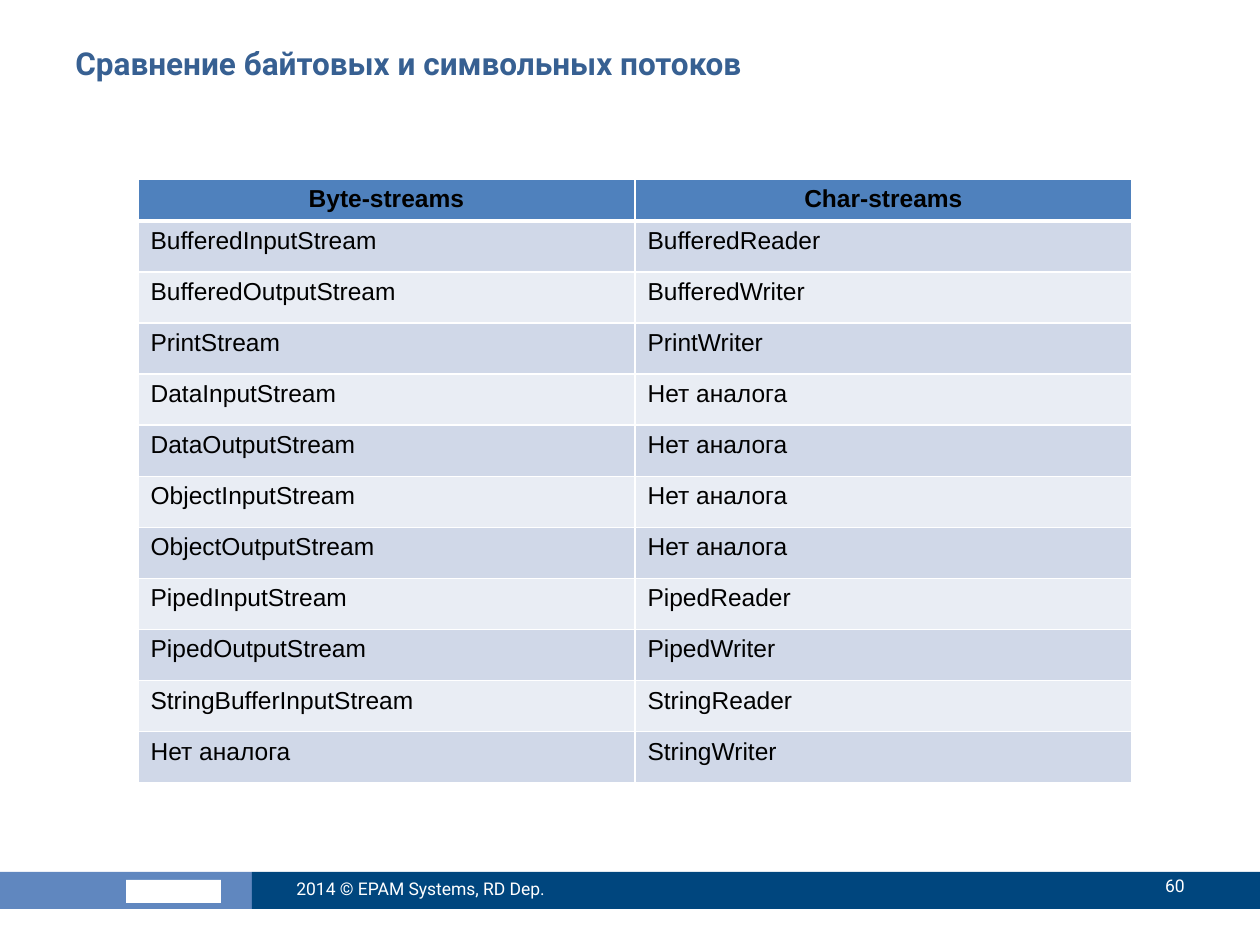
from lxml.etree import SubElement
from pptx import Presentation
from pptx.dml.color import RGBColor
from pptx.enum.shapes import MSO_SHAPE
from pptx.enum.text import MSO_ANCHOR, PP_ALIGN
from pptx.oxml.ns import qn
from pptx.util import Emu, Pt

PX_PER_INCH = 126
COLORS = {
    "title": "376092",
    "light_band": "6087BF",
    "dark_band": "00467E",
    "header": "4F81BD",
    "odd_row": "D0D8E8",
    "even_row": "E9EDF4",
    "white": "FFFFFF",
    "black": "000000",
}
NO_ANALOG = "Нет аналога"
STREAMS = [
    ("Byte-streams", "Char-streams"),
    ("BufferedInputStream", "BufferedReader"),
    ("BufferedOutputStream", "BufferedWriter"),
    ("PrintStream", "PrintWriter"),
    ("DataInputStream", NO_ANALOG),
    ("DataOutputStream", NO_ANALOG),
    ("ObjectInputStream", NO_ANALOG),
    ("ObjectOutputStream", NO_ANALOG),
    ("PipedInputStream", "PipedReader"),
    ("PipedOutputStream", "PipedWriter"),
    ("StringBufferInputStream", "StringReader"),
    (NO_ANALOG, "StringWriter"),
]


def px(length):
    return Emu(round(length * 914400 / PX_PER_INCH))


def paint(fill, color):
    fill.solid()
    fill.fore_color.rgb = RGBColor.from_string(COLORS[color])


def write(frame, text, size, color, font, bold=False, align=PP_ALIGN.LEFT):
    frame.text = text
    paragraph = frame.paragraphs[0]
    paragraph.alignment = align
    style = paragraph.runs[0].font
    style.name, style.size, style.bold = font, Pt(size), bold
    style.color.rgb = RGBColor.from_string(COLORS[color])


def add_label(slide, box, text, size, color, anchor=MSO_ANCHOR.MIDDLE, **style):
    frame = slide.shapes.add_textbox(*map(px, box)).text_frame
    frame.word_wrap = True
    frame.vertical_anchor = anchor
    write(frame, text, size, color, "Roboto", **style)


def add_band(slide, box, color):
    band = slide.shapes.add_shape(MSO_SHAPE.RECTANGLE, *map(px, box))
    band.shadow.inherit = False
    paint(band.fill, color)
    band.line.fill.background()


def add_footer(slide, box):
    left, top, width, height = box
    split = 252
    add_band(slide, (left, top, split, height), "light_band")
    add_band(slide, (left + 126, top + 8, 95, 23), "white")
    add_band(slide, (left + split, top, width - split, height), "dark_band")
    add_label(slide, (left + 284, top - 8, 336, 50),
              "2014 © EPAM Systems, RD Dep.", 10, "white")
    add_label(slide, (left + 1061, top - 11, 136, 50),
              "60", 10, "white", align=PP_ALIGN.RIGHT)


def set_borders(cell, widths):
    """Draw white cell borders; python-pptx expects them before the fill."""
    properties = cell._tc.get_or_add_tcPr()
    for side, width in widths.items():
        line = SubElement(properties, qn(f"a:{side}"), w=str(Pt(width)))
        solid = SubElement(line, qn("a:solidFill"))
        SubElement(solid, qn("a:srgbClr"), val=COLORS["white"])


def add_streams_table(slide, box):
    left, top, width, height = box
    header_height = 41
    row_height = (height - header_height) / (len(STREAMS) - 1)
    table = slide.shapes.add_table(
        len(STREAMS), len(STREAMS[0]), *map(px, box)).table
    for column in table.columns:
        column.width = px(width / len(STREAMS[0]))
    for row, names in enumerate(STREAMS):
        is_header = row == 0
        table.rows[row].height = px(header_height if is_header else row_height)
        row_fill = "header" if is_header else ("even_row", "odd_row")[row % 2]
        for column, name in enumerate(names):
            cell = table.cell(row, column)
            set_borders(cell, {"lnL": 1, "lnR": 1,
                               "lnT": 3 if row == 1 else 1,
                               "lnB": 3 if is_header else 1})
            paint(cell.fill, row_fill)
            write(cell.text_frame, name, 14, "black", "Arial", bold=is_header,
                  align=PP_ALIGN.CENTER if is_header else PP_ALIGN.LEFT)


def main():
    presentation = Presentation()
    presentation.slide_width = px(1260)
    presentation.slide_height = px(945)
    slide = presentation.slides.add_slide(presentation.slide_layouts[6])
    add_footer(slide, (0, 872, 1260, 37))
    add_label(slide, (63, 38, 1134, 98),
              "Сравнение байтовых и символьных потоков", 18, "title",
              anchor=MSO_ANCHOR.TOP, bold=True)
    add_streams_table(slide, (138, 179, 994, 603))
    presentation.save("out.pptx")


if __name__ == "__main__":
    main()
